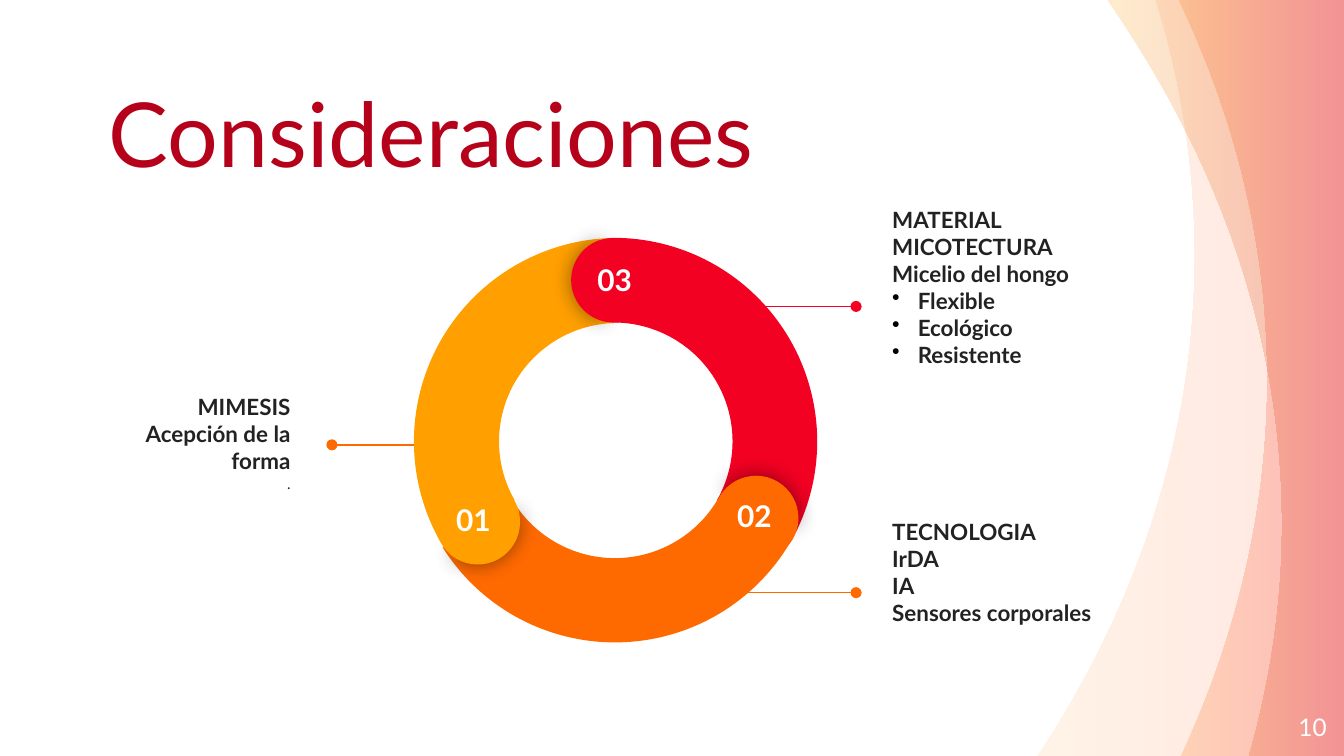
from lxml import etree
from pptx import Presentation, util as u
from pptx.dml.color import RGBColor
from pptx.enum import shapes, text
from pptx.oxml.ns import qn

W, H = 10, 5.625
THEME = {
    "font": "Lato", "title": "B5011A", "body": "222222", "light": "FFFFFF",
    "red": "F20122", "orange": "FF6A00", "yellow": "FF9F00",
    "peach": "FFC486", "coral": "FF866B", "crimson": "CC0000", "black": "000000",
    "title_size": 48, "label_size": 16, "number_size": 13, "body_size": 12, "small_size": 8,
}
LEFT, RIGHT, CENTER = text.PP_ALIGN.LEFT, text.PP_ALIGN.RIGHT, text.PP_ALIGN.CENTER
TOP, MIDDLE, BOTTOM = text.MSO_ANCHOR.TOP, text.MSO_ANCHOR.MIDDLE, text.MSO_ANCHOR.BOTTOM

# Left edge of each ribbon, top to bottom, as two cubic curves; colours left to right
RIBBONS = [
    ([(8.6, 0), (8.79, 0.61), (8.89, 1.25), (8.89, 1.9),
      (8.89, 3.23), (8.47, 4.5), (7.71, 5.64)], ("peach", "coral")),
    ([(8.77, 0), (9.2, 0.89), (9.43, 1.84), (9.43, 2.82),
      (9.43, 3.8), (9.2, 4.75), (8.78, 5.64)], ("orange", "red")),
    ([(8.24, 0), (9.07, 1.19), (9.54, 2.51), (9.54, 3.9),
      (9.54, 4.5), (9.45, 5.08), (9.29, 5.64)], ("yellow", "crimson")),
]

# Lines are (text, style); "spare" is free room kept under the text
NOTES = [
    {"box": (0.54, 2.59, 1.72, 1.41), "align": RIGHT, "spare": 0,
     "lines": [("MIMESIS", "bold"), ("Acepción de la forma", "bold"), (".", "small")],
     "leader": (3.17, 2.47, 3.31), "color": "orange"},
    {"box": (6.54, 1.58, 1.79, 1.65), "align": LEFT, "spare": 0.54,
     "lines": [("MATERIAL", "bold"), ("MICOTECTURA", "bold"), ("Micelio del hongo", "bold"),
               ("Flexible", "bullet"), ("Ecológico", "bullet"), ("Resistente", "bullet")],
     "leader": (5.28, 6.37, 2.28), "color": "red"},
    {"box": (6.54, 3.72, 1.79, 1.41), "align": LEFT, "spare": 0.34,
     "lines": [("TECNOLOGIA", "bold"), ("IrDA", "bold"), ("IA", "bold"),
               ("Sensores corporales", "bold")],
     "leader": (5.28, 6.37, 4.41), "color": "orange"},
]

# Ring segments, each a third of a turn after the one before
RING, CAP = 3.03, 0.63
SEGMENTS = [
    {"label": "03 ", "color": "red", "arc": (3.05, 1.77), "cap": (4.25, 1.77),
     "label_at": (4.32, 1.85), "adj": (126.225, 197.816, 0.208)},
    {"label": "02 ", "color": "orange", "arc": (3.06, 1.75), "cap": (5.31, 3.54),
     "label_at": (5.36, 3.6), "adj": (126.225, 196.628, 0.207)},
    {"label": "01 ", "color": "yellow", "arc": (3.08, 1.77), "cap": (3.24, 3.57),
     "label_at": (3.27, 3.63), "adj": (126.225, 197.033, 0.209)},
]
CAP_SHADED, CAP_PLAIN = (61.904, 149.962), (40.283, 171.837)


def rgb(name):
    return RGBColor.from_string(THEME[name])


def inches(*values):
    return [u.Inches(v) for v in values]


def sub(parent, tag, **attrs):
    return etree.SubElement(parent, qn(tag), {k: str(v) for k, v in attrs.items()})


def add_text(s, box, lines, size, color, align=LEFT, anchor=MIDDLE, inset=0.1, spare=0):
    sp = s.shapes.add_textbox(*inches(*box))
    tf = sp.text_frame
    tf.word_wrap, tf.vertical_anchor = True, anchor
    tf.margin_left = tf.margin_right = tf.margin_top = u.Inches(inset)
    tf.margin_bottom = u.Inches(inset + spare)
    for i, (line, style) in enumerate(lines):
        p = tf.paragraphs[0] if i == 0 else tf.add_paragraph()
        p.text, p.alignment = line, align
        if style == "bullet":
            pPr = p._p.get_or_add_pPr()
            pPr.set("marL", str(u.Inches(0.19)))
            pPr.set("indent", str(-u.Inches(0.19)))
            sub(sub(pPr, "a:buClr"), "a:srgbClr", val=THEME["black"])
            sub(pPr, "a:buChar", char="•")
        f = p.font
        f.name, f.color.rgb = THEME["font"], rgb(color)
        f.size = u.Pt(THEME["small_size" if style == "small" else size])
        f.bold = style in ("bold", "bullet")


def curve_segments(sp, count):
    """Turn the first lines of an outline, three by three, into cubic curves."""
    lines = list(sp._element.iter(qn("a:lnTo")))[:count]
    for i in range(0, count, 3):
        curve = etree.Element(qn("a:cubicBezTo"))
        lines[i].addprevious(curve)
        for line in lines[i:i + 3]:
            curve.append(line[0])
            line.getparent().remove(line)


def add_ribbon(s, edge, colors):
    outline = [inches(*pt) for pt in edge + [(W, edge[-1][1]), (W, 0)]]
    fb = s.shapes.build_freeform(*outline[0])
    fb.add_line_segments(outline[1:], close=True)
    sp = fb.convert_to_shape()
    curve_segments(sp, len(edge) - 1)
    sp.shadow.inherit = False
    sp.line.fill.background()
    sp.fill.gradient()
    sp.fill.gradient_angle = 0
    for stop, color, pos in zip(sp.fill.gradient_stops, colors, (0, 1)):
        stop.color.rgb, stop.position = rgb(color), pos
    for clr in sp._element.spPr.iter(qn("a:srgbClr")):
        sub(clr, "a:alpha", val=20000)


def add_leader(s, x1, x2, y, color):
    line = s.shapes.add_connector(shapes.MSO_CONNECTOR.STRAIGHT, *inches(x1, y, x2, y))
    line.line.color.rgb, line.line.width = rgb(color), u.Pt(0.75)
    sub(line.line._get_or_add_ln(), "a:tailEnd", type="oval")
    sub(line._element.spPr, "a:effectLst")


def add_round(s, kind, at, size, turn, adj, color, shaded=False):
    sp = s.shapes.add_shape(kind, *inches(*at, size, size))
    sp.rotation = turn % 360
    for i, value in enumerate(adj):
        sp.adjustments[i] = value
    sp.fill.solid()
    sp.fill.fore_color.rgb = rgb(color)
    sp.line.fill.background()
    sp.shadow.inherit = False
    if shaded:
        effects = sp._element.spPr.find(qn("a:effectLst"))
        shadow = sub(effects, "a:outerShdw", blurRad=u.Pt(11.2), dist=0, dir=0,
                     algn="ctr", rotWithShape=0)
        sub(sub(shadow, "a:srgbClr", val=THEME["black"]), "a:alpha", val=43000)


def main():
    prs = Presentation()
    prs.slide_width, prs.slide_height = inches(W, H)
    s = prs.slides.add_slide(prs.slide_layouts[6])

    for edge, colors in RIBBONS:
        add_ribbon(s, edge, colors)
    add_text(s, (0.81, 0.57, 6.6, 0.81), [("Consideraciones", "plain")],
             "title_size", "title", anchor=BOTTOM, inset=0)
    add_text(s, (9.27, 5.19, 0.6, 0.43), [("10", "plain")],
             "number_size", "light", align=RIGHT, inset=0)

    for note in NOTES:
        add_text(s, note["box"], note["lines"], "body_size", "body",
                 align=note["align"], spare=note["spare"])
        add_leader(s, *note["leader"], note["color"])

    arc, pie = shapes.MSO_SHAPE.BLOCK_ARC, shapes.MSO_SHAPE.PIE
    turned = [(i * 120, seg) for i, seg in enumerate(SEGMENTS)]
    for turn, seg in turned:
        add_round(s, arc, seg["arc"], RING, turn + 60, seg["adj"], seg["color"])
    for turn, seg in turned:
        add_round(s, pie, seg["cap"], CAP, turn + 0.7, CAP_SHADED, seg["color"], shaded=True)
        add_round(s, pie, seg["cap"], CAP, turn + 180, CAP_PLAIN, seg["color"])
    for _, seg in turned:
        add_text(s, (*seg["label_at"], 0.56, 0.29), [(seg["label"], "bold")],
                 "label_size", "light", align=CENTER, anchor=TOP)
    prs.save("out.pptx")


if __name__ == "__main__":
    main()
